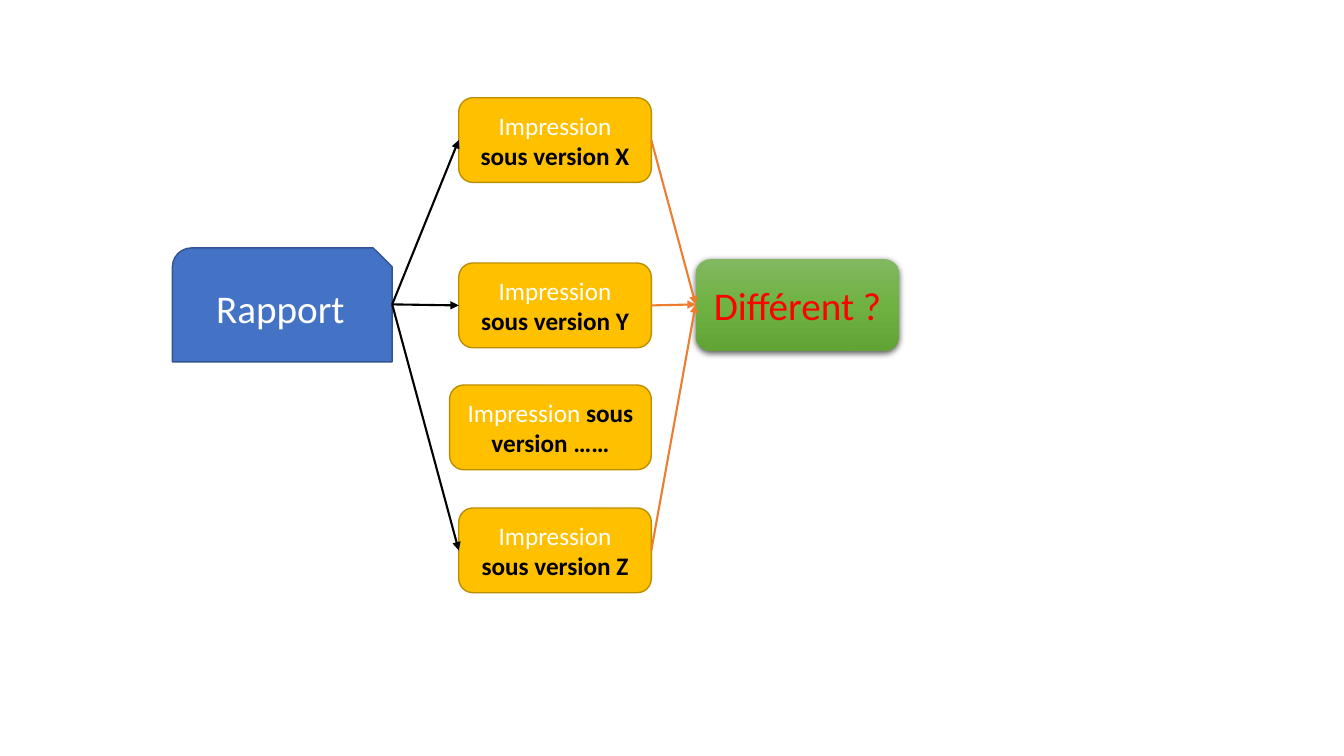
from dataclasses import dataclass

from lxml import etree
from pptx import Presentation
from pptx import util as u
from pptx.dml.color import RGBColor
from pptx.enum import shapes, text
from pptx.oxml.ns import qn

PX = 9144  # EMU per px, 100 px to the inch
FONT = "Calibri"
COLORS = {
    "white": "FFFFFF", "black": "000000", "red": "FF0000",
    "blue": "4472C4", "blue_edge": "325491",
    "amber": "FFC000", "amber_edge": "BD8E00", "orange": "ED7D31",
    "green_top": "81B861", "green_mid": "6FB242", "green_end": "62A336",
}
ROUND = shapes.MSO_SHAPE.ROUNDED_RECTANGLE


@dataclass(frozen=True)
class Run:
    text: str
    color: str
    size: int
    bold: bool = False


@dataclass(frozen=True)
class Box:
    left: int
    top: int
    width: int
    height: int
    runs: tuple[Run, ...]
    fill: str = ""
    edge: str = ""
    preset: shapes.MSO_SHAPE = ROUND

    @property
    def left_mid(self) -> tuple[int, int]:
        return self.left, self.top + self.height // 2

    @property
    def right_mid(self) -> tuple[int, int]:
        return self.left + self.width, self.top + self.height // 2


def rgb(name: str) -> RGBColor:
    return RGBColor.from_string(COLORS[name])


def add_color(parent, name: str):
    return etree.SubElement(parent, qn("a:srgbClr"), val=COLORS[name])


def add_box(slide, box: Box):
    sp = slide.shapes.add_shape(
        box.preset, *(v * PX for v in (box.left, box.top, box.width, box.height)))
    sp.shadow.inherit = False
    if box.fill:
        sp.fill.solid()
        sp.fill.fore_color.rgb = rgb(box.fill)
    if box.edge:
        sp.line.color.rgb = rgb(box.edge)
        sp.line.width = u.Pt(1)
    else:
        sp.line.fill.background()
    tf = sp.text_frame
    tf.word_wrap = True
    tf.vertical_anchor = text.MSO_ANCHOR.MIDDLE
    p = tf.paragraphs[0]
    p.alignment = text.PP_ALIGN.CENTER
    for run in box.runs:
        r = p.add_run()
        r.text = run.text
        r.font.name = FONT
        r.font.size = u.Pt(run.size)
        r.font.bold = run.bold
        r.font.color.rgb = rgb(run.color)
    return sp


def add_green_finish(sp) -> None:
    """Vertical three-stop gradient and a soft shadow below."""
    sp.fill.gradient()
    sp.fill.gradient_angle = 270
    stops = sp._element.spPr.find(".//" + qn("a:gsLst"))
    for stop in list(stops):
        stops.remove(stop)
    for pos, name in ((0, "green_top"), (50, "green_mid"), (100, "green_end")):
        add_color(etree.SubElement(stops, qn("a:gs"), pos=str(pos * 1000)), name)
    effects = sp._element.spPr.find(qn("a:effectLst"))
    shadow = etree.SubElement(
        effects, qn("a:outerShdw"), blurRad=str(u.Pt(4.5)), dist=str(u.Pt(1.5)),
        dir="5400000", algn="ctr", rotWithShape="0")
    etree.SubElement(add_color(shadow, "black"), qn("a:alpha"), val="63000")


def add_arrow(slide, start: tuple[int, int], end: tuple[int, int], color: str) -> None:
    line = slide.shapes.add_connector(
        shapes.MSO_CONNECTOR.STRAIGHT, *(v * PX for v in start + end))
    line.line.color.rgb = rgb(color)
    line.line.width = u.Pt(1.5)
    etree.SubElement(line.line._get_or_add_ln(), qn("a:tailEnd"), type="triangle")
    etree.SubElement(line._element.spPr, qn("a:effectLst"))


def version_box(name: str, top: int, left: int = 455) -> Box:
    runs = (Run("Impression ", "white", 18),
            Run(f"sous version {name}", "black", 18, True))
    return Box(left, top, 646 - left, 84, runs, "amber", "amber_edge")


REPORT = Box(171, 246, 218, 113, (Run("Rapport", "white", 28),), "blue",
             "blue_edge", shapes.MSO_SHAPE.SNIP_ROUND_RECTANGLE)
RESULT = Box(690, 257, 202, 91, (Run("Différent ?", "red", 28),))
VERSIONS = (version_box("X", 97), version_box("Y", 261), version_box("Z", 504))
OTHERS = version_box("……", 382, left=446)


def main() -> None:
    prs = Presentation()
    prs.slide_width, prs.slide_height = u.Inches(13.33), u.Inches(7.5)
    slide = prs.slides.add_slide(prs.slide_layouts[6])

    # Report, its printed versions and the comparison
    for box in (REPORT, *VERSIONS, OTHERS):
        add_box(slide, box)
    add_green_finish(add_box(slide, RESULT))

    # Arrows into and out of each named version
    for version in VERSIONS:
        add_arrow(slide, REPORT.right_mid, version.left_mid, "black")
        add_arrow(slide, version.right_mid, RESULT.left_mid, "orange")

    prs.save("out.pptx")


if __name__ == "__main__":
    main()
